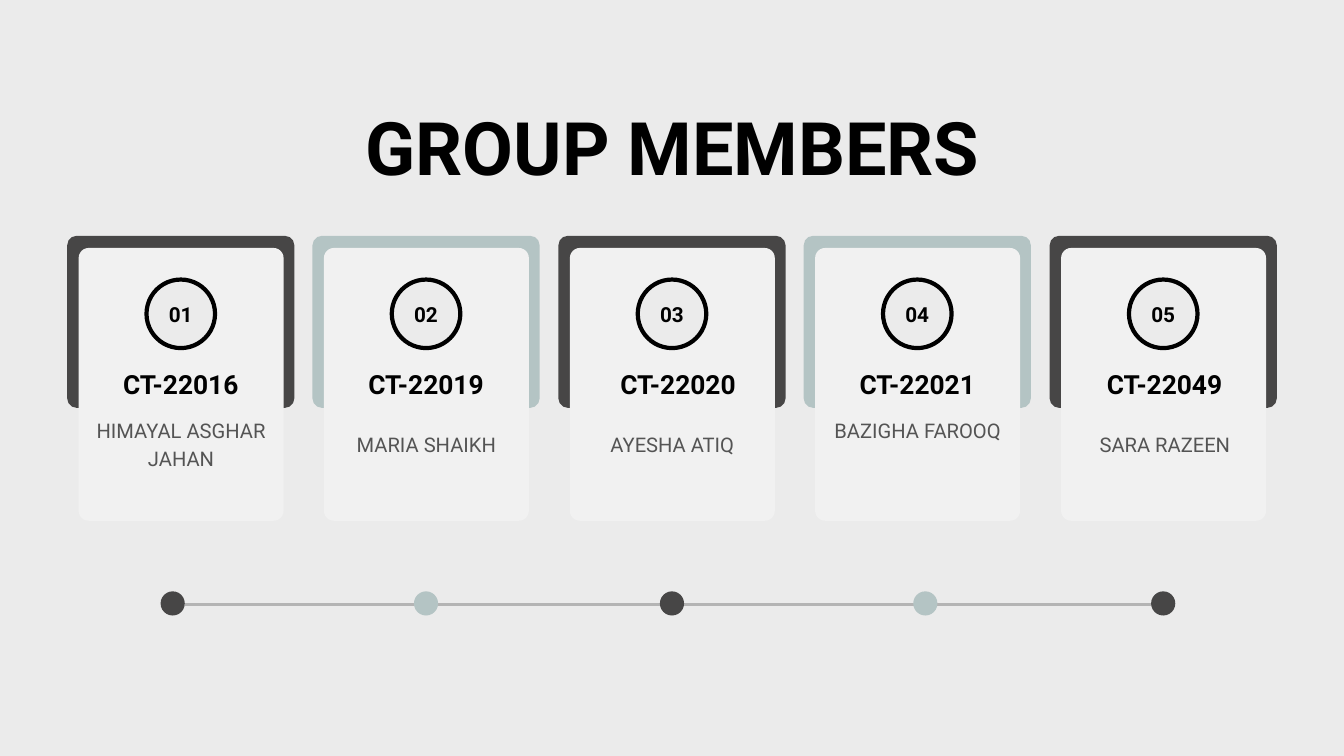
import dataclasses

import pptx
import pptx.dml.color
import pptx.enum.shapes
import pptx.enum.text
import pptx.oxml
import pptx.oxml.ns
import pptx.util

PX = 9144  # EMU per px, 100 px to the inch
PITCH_TWICE = 731  # two cards' pitches, so that centres stay whole
MIDDLE = 1000

BLACK, DARK, TEAL = "000000", "474646", "B4C4C4"
PAPER, FACE, RULE, GREY = "EBEBEB", "F1F1F1", "B4B4B4", "545454"
SHAPES = pptx.enum.shapes.MSO_SHAPE


@dataclasses.dataclass(frozen=True)
class Box:
    left: int
    top: int
    width: int
    height: int

    def emu(self) -> list[int]:
        return [value * PX for value in dataclasses.astuple(self)]


@dataclasses.dataclass(frozen=True)
class TextStyle:
    size: float
    leading: float
    color: str = BLACK
    bold: bool = True


@dataclasses.dataclass(frozen=True)
class Member:
    roll: str
    name: str
    accent: str
    dot_center: int
    name_lines: int = 1
    roll_shift: int = 0
    name_shift: int = 0


TITLE = TextStyle(79, 110.6)
NUMBER = TextStyle(22.2, 26.7)
ROLL = TextStyle(28.2, 33.8)
NAME = TextStyle(21.6, 30.2, GREY, False)

MEMBERS = [
    Member("CT-22016", "HIMAYAL ASGHAR JAHAN", DARK, 257, name_lines=2),
    Member("CT-22019", "MARIA SHAIKH", TEAL, 634),
    Member("CT-22020", "AYESHA ATIQ", DARK, 1000, roll_shift=9),
    Member("CT-22021", "BAZIGHA FAROOQ", TEAL, 1377, name_lines=2),
    Member("CT-22049", "SARA RAZEEN", DARK, 1731, roll_shift=2, name_shift=2),
]


def rgb(color: str) -> pptx.dml.color.RGBColor:
    return pptx.dml.color.RGBColor.from_string(color)


def centered(center: int, top: int, width: int, height: int) -> Box:
    return Box(center - width // 2, top, width, height)


def write_text(shape, text: str, style: TextStyle) -> None:
    frame_format = {
        "margin_left": 0, "margin_right": 0, "margin_top": 0, "margin_bottom": 0,
        "word_wrap": True,
        "auto_size": pptx.enum.text.MSO_AUTO_SIZE.NONE,
        "vertical_anchor": pptx.enum.text.MSO_ANCHOR.TOP,
    }
    for attribute, value in frame_format.items():
        setattr(shape.text_frame, attribute, value)
    paragraph = shape.text_frame.paragraphs[0]
    paragraph.alignment = pptx.enum.text.PP_ALIGN.CENTER
    paragraph.line_spacing = pptx.util.Pt(style.leading)
    run = paragraph.add_run()
    run.text = text
    font_format = {"name": "Roboto", "size": pptx.util.Pt(style.size), "bold": style.bold}
    for attribute, value in font_format.items():
        setattr(run.font, attribute, value)
    run.font.color.rgb = rgb(style.color)


def add_text(slide, box: Box, text: str, style: TextStyle) -> None:
    write_text(slide.shapes.add_textbox(*box.emu()), text, style)


def add_filled(slide, kind, box: Box, fill: str, radius: int = 0, outline: str = "") -> None:
    shape = slide.shapes.add_shape(kind, *box.emu())
    shape.shadow.inherit = False
    shape.fill.solid()
    shape.fill.fore_color.rgb = rgb(fill)
    if radius:
        shape.adjustments[0] = radius / min(box.width, box.height)
    if outline:
        shape.line.color.rgb = rgb(outline)
        shape.line.width = pptx.util.Pt(4.5)
    else:
        shape.line.fill.background()


def add_title(slide, text: str) -> None:
    title = slide.shapes.title
    box = centered(MIDDLE, 129, 935, 148)
    for attribute, value in zip(("left", "top", "width", "height"), box.emu()):
        setattr(title, attribute, value)
    write_text(title, text, TITLE)


def add_card(slide, index: int, member: Member) -> None:
    center = MIDDLE + (index - 2) * PITCH_TWICE // 2
    rounded = SHAPES.ROUNDED_RECTANGLE
    add_filled(slide, rounded, centered(center, 351, 338, 256), member.accent, radius=14)
    add_filled(slide, rounded, centered(center, 369, 305, 406), FACE, radius=15)

    # Numbered ring
    add_filled(slide, SHAPES.OVAL, centered(center, 416, 102, 102), PAPER, outline=BLACK)
    add_text(slide, centered(center, 449, 46, 36), f"{index + 1:02}", NUMBER)

    # Roll number and name
    add_text(slide, centered(center + member.roll_shift, 548, 190, 46), member.roll, ROLL)
    name_height = 42 * member.name_lines
    name_box = centered(center + member.name_shift, 659 - name_height // 2, 253, name_height)
    add_text(slide, name_box, member.name, NAME)


def add_timeline(slide) -> None:
    line = slide.shapes.add_connector(
        pptx.enum.shapes.MSO_CONNECTOR.STRAIGHT,
        276 * PX, 899 * PX, 1741 * PX, 899 * PX,
    )
    line.line.color.rgb = rgb(RULE)
    line.line.width = pptx.util.Pt(3)
    properties = line._element.spPr
    properties.append(pptx.oxml.parse_xml(f"<a:effectLst {pptx.oxml.ns.nsdecls('a')}/>"))
    for member in MEMBERS:
        add_filled(slide, SHAPES.OVAL, centered(member.dot_center, 880, 36, 36), member.accent)


def main() -> None:
    presentation = pptx.Presentation()
    presentation.slide_width = 2000 * PX
    presentation.slide_height = 1125 * PX
    slide = presentation.slides.add_slide(presentation.slide_layouts[5])
    slide.background.fill.solid()
    slide.background.fill.fore_color.rgb = rgb(PAPER)

    add_title(slide, "GROUP MEMBERS")
    for index, member in enumerate(MEMBERS):
        add_card(slide, index, member)
    add_timeline(slide)

    presentation.save("out.pptx")


if __name__ == "__main__":
    main()
